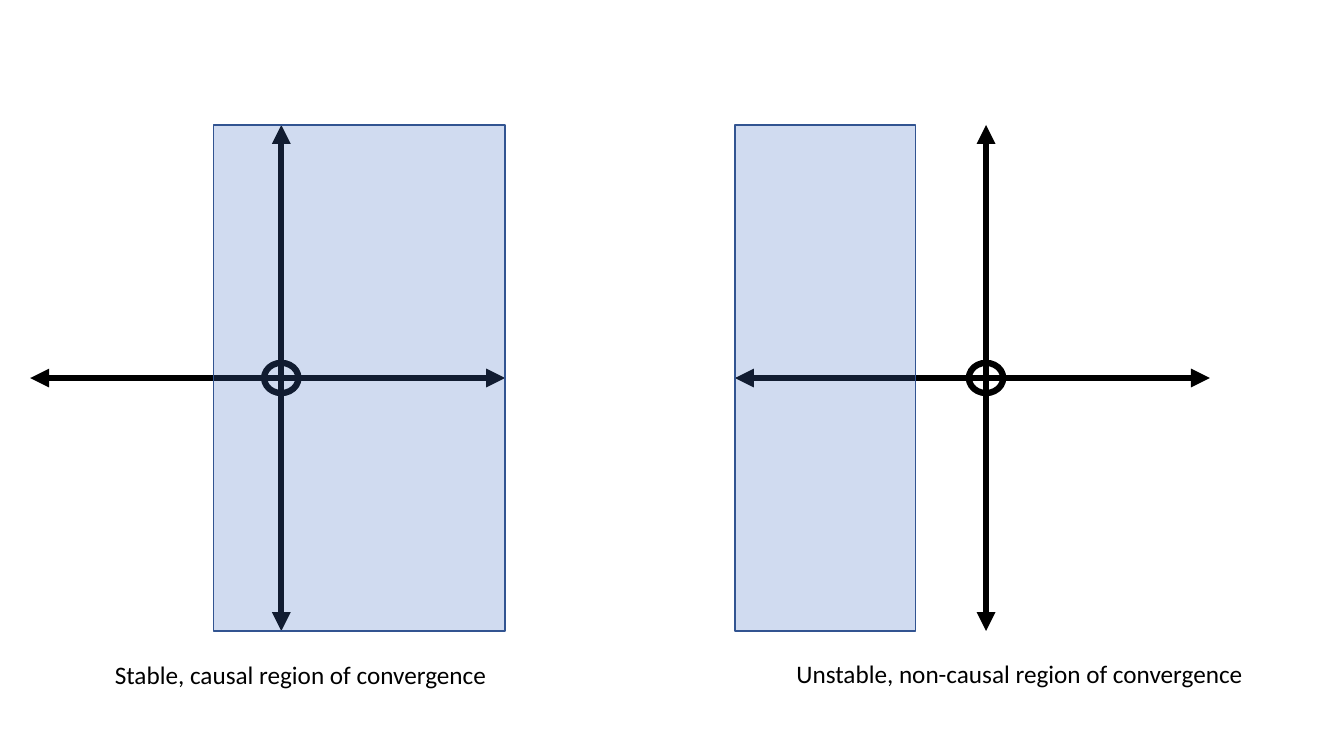
from lxml import etree
from pptx import Presentation
from pptx.dml.color import RGBColor
from pptx.enum.shapes import MSO_CONNECTOR, MSO_SHAPE
from pptx.enum.text import MSO_AUTO_SIZE
from pptx.oxml.ns import qn
from pptx.util import Inches, Pt

STRAIGHT = MSO_CONNECTOR.STRAIGHT
OVAL, RECTANGLE = MSO_SHAPE.OVAL, MSO_SHAPE.RECTANGLE
FIT_SHAPE = MSO_AUTO_SIZE.SHAPE_TO_FIT_TEXT

# Content: one entry per plane, lengths in inches
PLANES = [
    {"left": 0.3, "region": (2.12, 2.89),
     "caption": "Stable, causal region of convergence", "caption_at": (1.04, 6.49, 3.97)},
    {"left": 7.29, "region": (7.29, 1.79),
     "caption": "Unstable, non-causal region of convergence", "caption_at": (7.8, 6.48, 4.71)},
]
COLORS = {"axis": "000000", "region": "4472C4", "edge": "325491", "text": "000000"}
CAPTION_FONT = {"name": "Calibri", "size": Pt(18)}

# Shared geometry
TOP, HEIGHT = 1.24, 5.02
AXIS_WIDTH, ORIGIN_OFFSET = 4.71, 2.49
RING_WIDTH, RING_HEIGHT = 0.34, 0.3
CAPTION_HEIGHT = 0.4
AXIS_WEIGHT, EDGE_WEIGHT = 4.5, 1
REGION_OPACITY = 25


def color(name):
    return RGBColor.from_string(COLORS[name])


def set_line(shape, name, weight):
    shape.line.color.rgb = color(name)
    shape.line.width = Pt(weight)


def add_axis(shapes, *ends):
    axis = shapes.add_connector(STRAIGHT, *map(Inches, ends))
    set_line(axis, "axis", AXIS_WEIGHT)
    outline = axis.line._get_or_add_ln()
    for end in ("a:headEnd", "a:tailEnd"):
        etree.SubElement(outline, qn(end), type="triangle")
    etree.SubElement(axis._element.spPr, qn("a:effectLst"))


def add_axes(page, left):
    shapes = page.shapes.add_group_shape().shapes
    x, y = left + ORIGIN_OFFSET, TOP + HEIGHT / 2
    add_axis(shapes, x, TOP, x, TOP + HEIGHT)
    add_axis(shapes, left, y, left + AXIS_WIDTH, y)
    ring = shapes.add_shape(OVAL, Inches(x - RING_WIDTH / 2), Inches(y - RING_HEIGHT / 2),
                            Inches(RING_WIDTH), Inches(RING_HEIGHT))
    ring.shadow.inherit = False
    ring.fill.background()
    set_line(ring, "axis", AXIS_WEIGHT)


def add_region(page, left, width):
    region = page.shapes.add_shape(RECTANGLE, Inches(left), Inches(TOP),
                                   Inches(width), Inches(HEIGHT))
    region.shadow.inherit = False
    region.fill.solid()
    region.fill.fore_color.rgb = color("region")
    tint = region._element.spPr.find(qn("a:solidFill")).find(qn("a:srgbClr"))
    etree.SubElement(tint, qn("a:alpha"), val=str(REGION_OPACITY * 1000))
    set_line(region, "edge", EDGE_WEIGHT)


def add_caption(page, text, left, top, width):
    box = page.shapes.add_textbox(Inches(left), Inches(top),
                                  Inches(width), Inches(CAPTION_HEIGHT))
    frame = box.text_frame
    frame.word_wrap = True
    frame.auto_size = FIT_SHAPE
    span = frame.paragraphs[0].add_run()
    span.text = text
    for key, value in CAPTION_FONT.items():
        setattr(span.font, key, value)
    span.font.color.rgb = color("text")


def main():
    deck = Presentation()
    deck.slide_width, deck.slide_height = Inches(13.33), Inches(7.5)
    page = deck.slides.add_slide(deck.slide_layouts[6])
    # Axes, shaded region and caption of each plane
    for plane in PLANES:
        add_axes(page, plane["left"])
        add_region(page, *plane["region"])
        add_caption(page, plane["caption"], *plane["caption_at"])
    deck.save("out.pptx")


if __name__ == "__main__":
    main()
